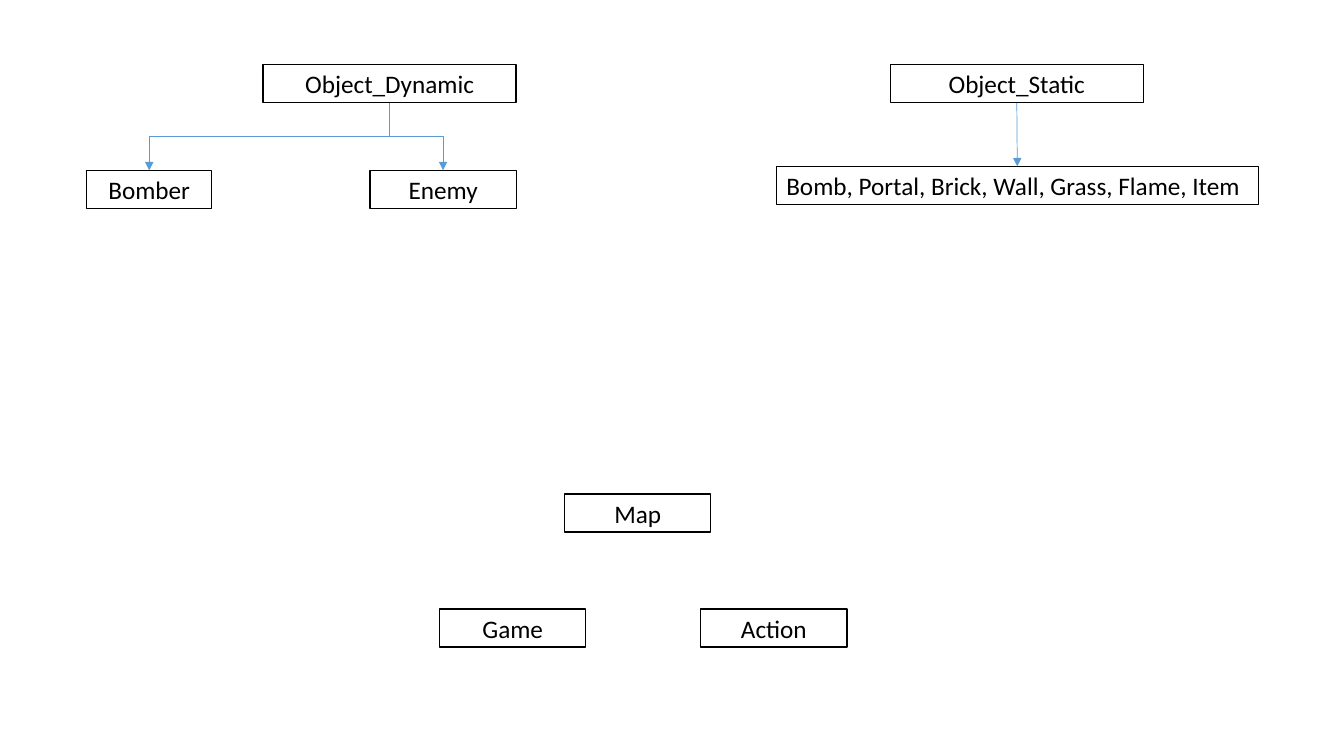
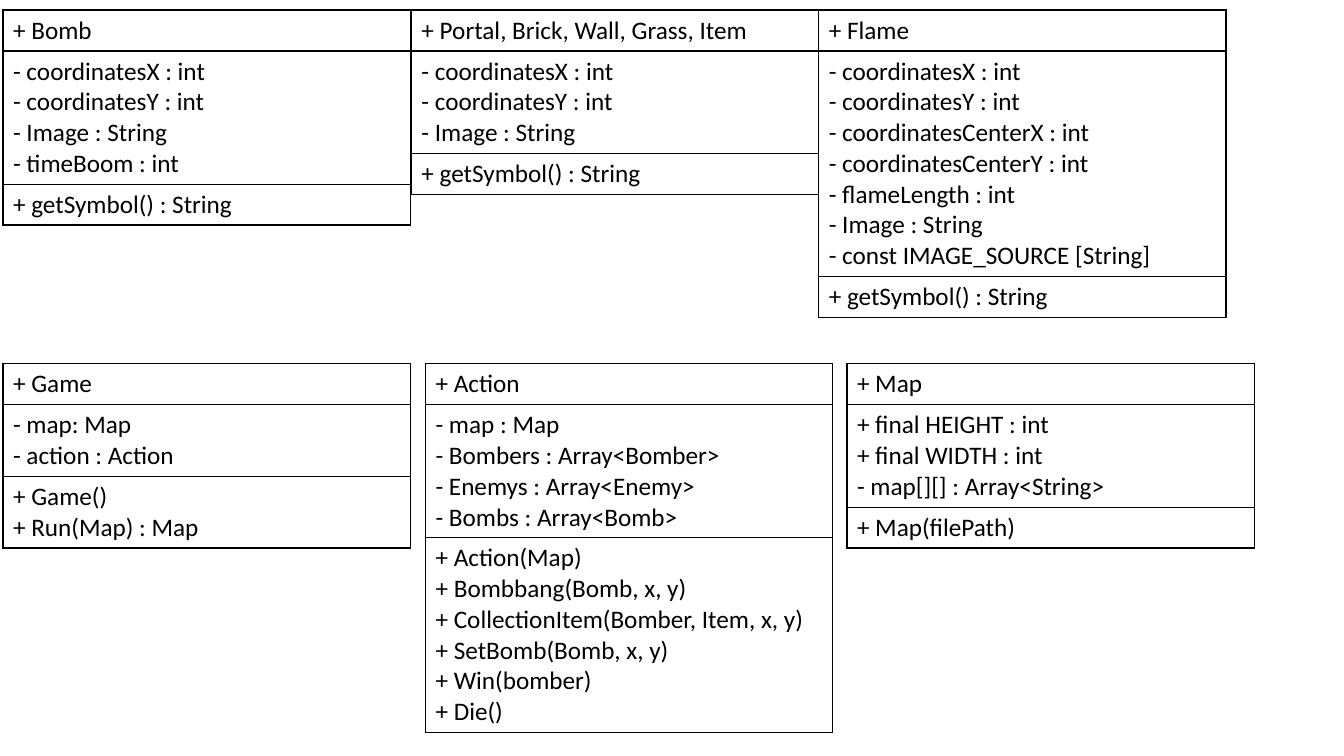
from lxml import etree
from pptx import Presentation
from pptx.dml.color import RGBColor
from pptx.enum.shapes import MSO_CONNECTOR, MSO_SHAPE
from pptx.enum.text import MSO_ANCHOR, PP_ALIGN
from pptx.oxml.ns import qn
from pptx.util import Inches, Pt

RECT = MSO_SHAPE.RECTANGLE
STRAIGHT, ELBOW = MSO_CONNECTOR.STRAIGHT, MSO_CONNECTOR.ELBOW
CENTER, LEFT = PP_ALIGN.CENTER, PP_ALIGN.LEFT
BOTTOM, TOP = 2, 0

BLACK, WHITE, BLUE = "000000", "FFFFFF", "5B9BD5"
FONT, SIZE = "Calibri", 18
BOX_H = 0.38
TABLE_W, LINE_H, PAD = 4.04, 0.305, 0.1

# text, left, top, width, alignment
BOXES = [
    ("Game", 4.36, 6.04, 1.45, CENTER),
    ("Action", 6.95, 6.04, 1.45, CENTER),
    ("Map", 5.6, 4.9, 1.45, CENTER),
    ("Object_Dynamic", 2.61, 0.64, 2.51, CENTER),
    ("Object_Static", 8.83, 0.64, 2.51, CENTER),
    ("Bomber", 0.86, 1.69, 1.24, CENTER),
    ("Enemy", 3.67, 1.69, 1.45, CENTER),
    ("Bomb, Portal, Brick, Wall, Grass, Flame, Item", 7.7, 1.65, 4.78, LEFT),
]
LINKS = [
    ("Object_Dynamic", "Bomber", ELBOW),
    ("Object_Dynamic", "Enemy", ELBOW),
    ("Object_Static", BOXES[-1][0], STRAIGHT),
]

XY = ["- coordinatesX : int", "- coordinatesY : int"]
IMAGE = "- Image : String"
SYMBOL = ["+ getSymbol() : String"]

# top, then for each class: left, name, fields, methods
CLASSES = [
    (0.1, [
        (0.03, "+ Bomb", XY + [IMAGE, "- timeBoom : int"], SYMBOL),
        (4.08, "+ Portal, Brick, Wall, Grass, Item", XY + [IMAGE], SYMBOL),
        (8.12, "+ Flame", XY + [
            "- coordinatesCenterX : int", "- coordinatesCenterY : int",
            "- flameLength : int", IMAGE, "- const IMAGE_SOURCE [String]"],
         SYMBOL),
    ]),
    (3.61, [
        (0.03, "+ Game", ["- map: Map", "- action : Action"],
         ["+ Game()", "+ Run(Map) : Map"]),
        (4.22, "+ Action",
         ["- map : Map", "- Bombers : Array<Bomber>",
          "- Enemys : Array<Enemy>", "- Bombs : Array<Bomb>"],
         ["+ Action(Map)", "+ Bombbang(Bomb, x, y)",
          "+ CollectionItem(Bomber, Item, x, y)", "+ SetBomb(Bomb, x, y)",
          "+ Win(bomber)", "+ Die()"]),
        (8.4, "+ Map",
         ["+ final HEIGHT : int", "+ final WIDTH : int",
          "- map[][] : Array<String>"],
         ["+ Map(filePath)"]),
    ]),
]


def rgb(code):
    return RGBColor.from_string(code)


def write(frame, lines, align=LEFT):
    frame.text = "\n".join(lines)
    for para in frame.paragraphs:
        para.alignment = align
        para.font.name, para.font.size = FONT, Pt(SIZE)
        para.font.color.rgb = rgb(BLACK)


def add_box(slide, text, left, top, width, align):
    box = slide.shapes.add_shape(
        RECT, Inches(left), Inches(top), Inches(width), Inches(BOX_H))
    box.shadow.inherit = False
    box.fill.solid()
    box.fill.fore_color.rgb = rgb(WHITE)
    box.line.color.rgb = rgb(BLACK)
    box.line.width = Pt(1)
    box.text_frame.vertical_anchor = MSO_ANCHOR.MIDDLE
    write(box.text_frame, [text], align)
    return box


def turn(link):
    """Rotate an elbow so that it leaves and arrives vertically."""
    x, y = link.begin_x, link.begin_y
    dx, dy = link.end_x - x, link.end_y - y
    link.width, link.height = dy, abs(dx)
    link.left = x + (dx - dy) // 2
    link.top = y + (dy - abs(dx)) // 2
    right = dx > 0
    xfrm = link._element.spPr.find(qn("a:xfrm"))
    xfrm.set("rot", str((270 if right else 90) * 60000))
    xfrm.set("flipH", "1" if right else "0")


def add_link(slide, start, end, kind):
    link = slide.shapes.add_connector(kind, 0, 0, 0, 0)
    link.begin_connect(start, BOTTOM)
    link.end_connect(end, TOP)
    if kind == ELBOW:
        turn(link)
    link.line.color.rgb = rgb(BLUE)
    link.line.width = Pt(0.5)
    props = link._element.spPr
    etree.SubElement(props.find(qn("a:ln")), qn("a:tailEnd"), type="triangle")
    etree.SubElement(props, qn("a:effectLst"))


def add_borders(cell):
    props = cell._tc.get_or_add_tcPr()
    for side in "LRTB":
        line = etree.SubElement(props, qn("a:ln" + side), w=str(Pt(1)))
        fill = etree.SubElement(line, qn("a:solidFill"))
        etree.SubElement(fill, qn("a:srgbClr"), val=BLACK)


def add_class(slide, top, left, name, fields, methods):
    parts = [[name], fields, methods]
    tall = [len(part) * LINE_H + PAD for part in parts]
    table = slide.shapes.add_table(
        len(parts), 1, Inches(left), Inches(top),
        Inches(TABLE_W), Inches(sum(tall))).table
    table.first_row = table.horz_banding = False
    for row, part, height in zip(table.rows, parts, tall):
        row.height = Inches(height)
        cell = row.cells[0]
        write(cell.text_frame, part)
        add_borders(cell)
        cell.fill.background()


def main():
    deck = Presentation()
    deck.slide_width, deck.slide_height = Inches(13.33), Inches(7.5)
    blank = deck.slide_layouts[6]

    tree = deck.slides.add_slide(blank)
    boxes = {box[0]: add_box(tree, *box) for box in BOXES}
    for start, end, kind in LINKS:
        add_link(tree, boxes[start], boxes[end], kind)

    detail = deck.slides.add_slide(blank)
    for top, group in CLASSES:
        for item in group:
            add_class(detail, top, *item)

    deck.save("out.pptx")


if __name__ == "__main__":
    main()
